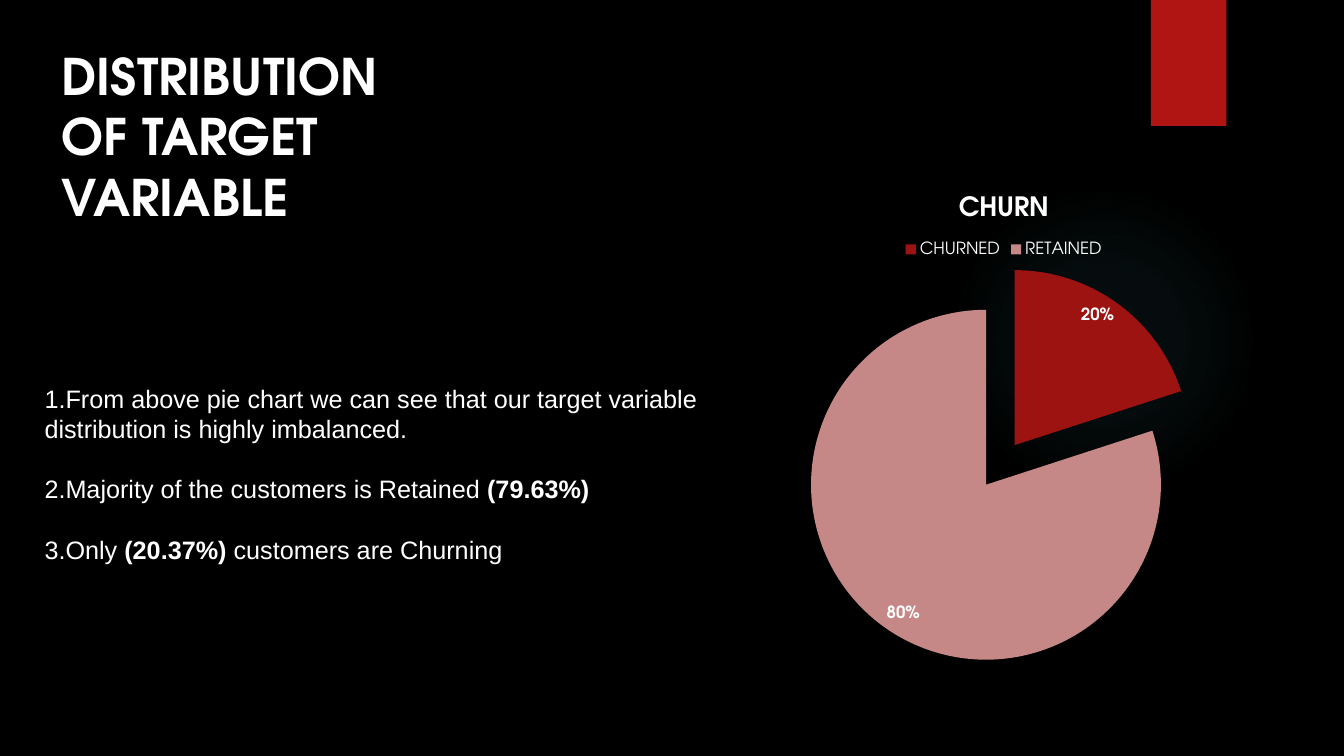
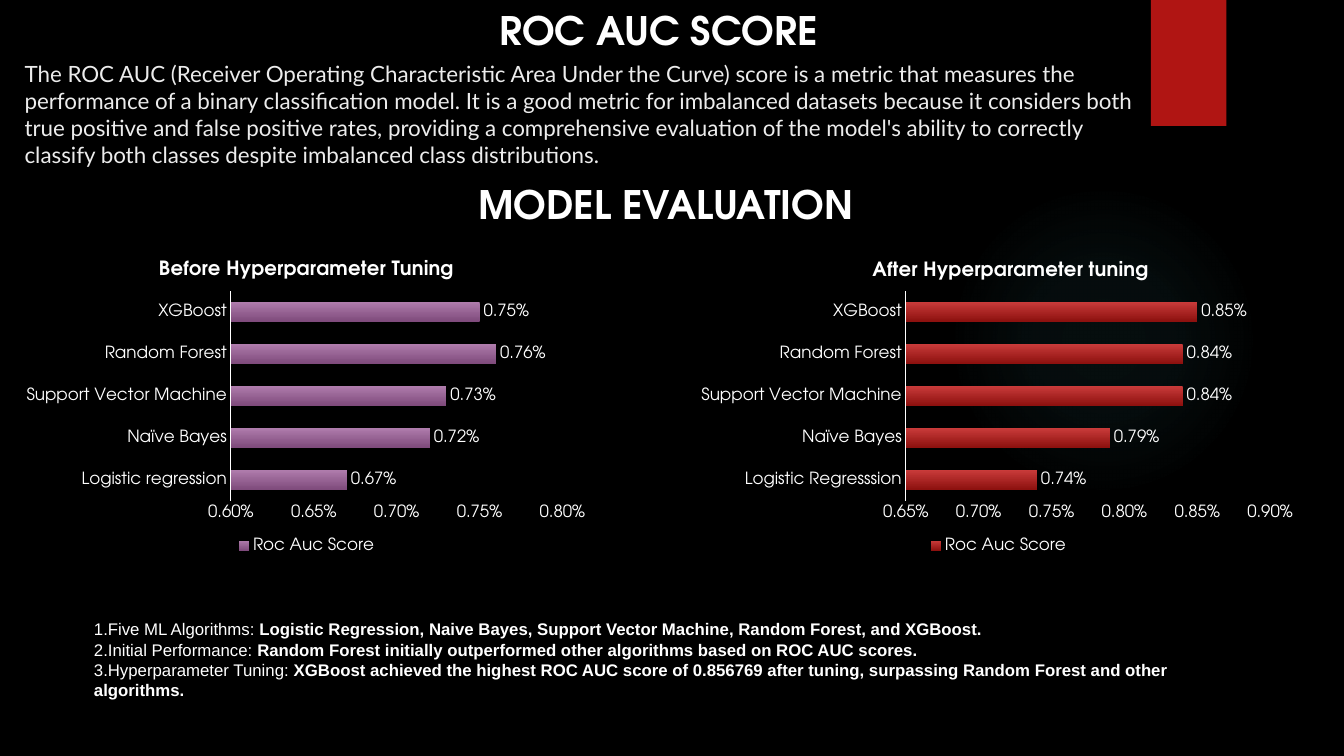
from pptx import Presentation
from pptx.chart.data import CategoryChartData
from pptx.dml.color import RGBColor
from pptx.enum.chart import XL_CHART_TYPE, XL_LABEL_POSITION, XL_LEGEND_POSITION, XL_TICK_MARK
from pptx.enum.shapes import MSO_SHAPE
from pptx.enum.text import MSO_ANCHOR, MSO_AUTO_SIZE, PP_ALIGN
from pptx.oxml import parse_xml
from pptx.oxml.ns import nsdecls, qn
from pptx.util import Pt

PIE, BAR = XL_CHART_TYPE.PIE, XL_CHART_TYPE.BAR_CLUSTERED
INSIDE_END, OUTSIDE_END = XL_LABEL_POSITION.INSIDE_END, XL_LABEL_POSITION.OUTSIDE_END
LEGEND_TOP, LEGEND_BOTTOM = XL_LEGEND_POSITION.TOP, XL_LEGEND_POSITION.BOTTOM
NO_TICKS = XL_TICK_MARK.NONE
OVAL, RECT = MSO_SHAPE.OVAL, MSO_SHAPE.RECTANGLE
TOP, LEFT, FIXED = MSO_ANCHOR.TOP, PP_ALIGN.LEFT, MSO_AUTO_SIZE.NONE

PX = 9525
SLIDE_SIZE = (1280, 720)
HEAD_FONT, NOTE_FONT, BODY_FONT = "TeX Gyre Adventor", "Arial", "Lato"
COLORS = {
    "black": "000000", "white": "FFFFFF", "pale": "ECECEC",
    "tab": "B01513", "glow": "50B9C1",
    "churned": "9C1311", "retained": "C68787",
    "purple_light": "AF7CAC", "purple_dark": "7F4B7C",
    "red_light": "C93B3A", "red_dark": "8D110F",
}
GLOW_BOX, TAB_BOX = (903, 176, 296, 296), (1096, 0, 72, 120)
GLOW_STOPS = [(0, 7), (36, 6), (69, 0)]  # position %, opacity %

# A paragraph is a list of (text, bold) runs.
CHURN_TITLE = "DISTRIBUTION OF TARGET VARIABLE"
CHURN_NOTES = [
    [("From above pie chart we can see that our target variable "
      "distribution is highly imbalanced.", False)],
    [("Majority of the customers is Retained ", False), ("(79.63%)", True)],
    [("Only ", False), ("(20.37%)", True), (" customers are Churning", False)],
]
CHURN = {
    "title": "CHURN", "series": "CHURN",
    "data": [("CHURNED", 20), ("RETAINED", 80)],
    "box": (634, 166, 644, 490), "plot": (0.2, 0.17, 0.59, 0.79),
}

ROC_TITLE = "ROC AUC SCORE"
ROC_TEXT = (
    "The ROC AUC (Receiver Operating Characteristic Area Under the Curve) score is a metric "
    "that measures the performance of a binary classification model. It is a good metric for "
    "imbalanced datasets because it considers both true positive and false positive rates, "
    "providing a comprehensive evaluation of the model's ability to correctly classify both "
    "classes despite imbalanced class distributions."
)
EVALUATION_TITLE = "MODEL EVALUATION"
TUNING_CHARTS = [
    {
        "title": "Before Hyperparameter Tuning", "series": "Roc Auc Score",
        "data": [("Logistic regression", 0.0067), ("Naïve Bayes", 0.0072),
                 ("Support Vector Machine", 0.0073), ("Random Forest", 0.0076),
                 ("XGBoost", 0.0075)],
        "box": (15, 232, 554, 299), "plot": (0.37, 0.15, 0.57, 0.67),
        "range": (0.006, 0.008), "gradient": ("purple_light", "purple_dark"),
    },
    {
        "title": "After Hyperparameter tuning", "series": "Roc Auc Score",
        "data": [("Logistic Regresssion", 0.0074), ("Naïve Bayes", 0.0079),
                 ("Support Vector Machine", 0.0084), ("Random Forest", 0.0084),
                 ("XGBoost", 0.0085)],
        "box": (657, 232, 588, 299), "plot": (0.35, 0.15, 0.59, 0.67),
        "title_at": (0.29, 0.04),
        "range": (0.0065, 0.009), "gradient": ("red_light", "red_dark"),
    },
]
ROC_NOTES = [
    [("Five ML Algorithms: ", False),
     ("Logistic Regression, Naive Bayes, Support Vector Machine, Random Forest, and XGBoost.",
      True)],
    [("Initial Performance: ", False),
     ("Random Forest initially outperformed other algorithms based on ROC AUC scores.", True)],
    [("Hyperparameter Tuning: ", False),
     ("XGBoost achieved the highest ROC AUC score of 0.856769 after tuning, surpassing "
      "Random Forest and other algorithms.", True)],
]


def rgb(name):
    return RGBColor.from_string(COLORS[name])


def emu(box):
    return [v * PX for v in box]


def style(font, size, name=HEAD_FONT, color="white", bold=False):
    font.size, font.name, font.bold = Pt(size), name, bold
    font.color.rgb = rgb(color)


def write(tf, paragraphs, size, font=HEAD_FONT, color="white", numbered=False, gap=0):
    """Fill a text frame with paragraphs, each a list of (text, bold) runs."""
    for i, runs in enumerate(paragraphs):
        p = tf.add_paragraph() if i else tf.paragraphs[0]
        if numbered:
            pPr = p._p.get_or_add_pPr()
            pPr.set("marL", "0")
            pPr.set("indent", "0")
            pPr.append(parse_xml(f'<a:buAutoNum {nsdecls("a")} type="arabicPeriod"/>'))
        if i and gap:
            p.space_before = Pt(gap)
        for text, bold in runs:
            r = p.add_run()
            r.text = text
            style(r.font, size, font, color, bold)


def add_text(slide, box, paragraphs, size, **fmt):
    tf = slide.shapes.add_textbox(*emu(box)).text_frame
    tf.word_wrap = True
    write(tf, paragraphs, size, **fmt)


def set_title(slide, box, text, size):
    title = slide.shapes.title
    title.left, title.top, title.width, title.height = emu(box)
    tf = title.text_frame
    tf.word_wrap, tf.auto_size, tf.vertical_anchor = True, FIXED, TOP
    write(tf, [[(text, True)]], size)
    tf.paragraphs[0].alignment = LEFT


def decorate_master(master, slide):
    """Build the glow and the tab on a slide, then move them behind the master's placeholders."""
    master.background.fill.solid()
    master.background.fill.fore_color.rgb = rgb("black")
    for i, (kind, box) in enumerate([(OVAL, GLOW_BOX), (RECT, TAB_BOX)]):
        s = slide.shapes.add_shape(kind, *emu(box))
        s.shadow.inherit = False
        s.line.fill.background()
        s.fill.solid()
        s.fill.fore_color.rgb = rgb("tab")
        if kind == OVAL:
            stops = "".join(
                f'<a:gs pos="{pos * 1000}"><a:srgbClr val="{COLORS["glow"]}">'
                f'<a:alpha val="{alpha * 1000}"/></a:srgbClr></a:gs>'
                for pos, alpha in GLOW_STOPS)
            spPr = s.element.spPr
            spPr.replace(spPr.find(qn("a:solidFill")), parse_xml(
                f'<a:gradFill {nsdecls("a")}><a:gsLst>{stops}</a:gsLst><a:path path="circle">'
                '<a:fillToRect l="50000" t="50000" r="50000" b="50000"/></a:path></a:gradFill>'))
        master.shapes.element.insert(2 + i, s.element)


def place(chart, tag, index, position, target=""):
    """Fix a chart part at (x, y) or (x, y, w, h), as fractions of the chart."""
    part = chart.element.find(".//" + qn(tag))
    for layout in part.findall(qn("c:layout")):
        part.remove(layout)
    sizes = "".join(f'<c:{name} val="{v}"/>' for name, v in zip("xywh", position))
    part.insert(index, parse_xml(
        f'<c:layout {nsdecls("c")}><c:manualLayout>{target}'
        f'<c:xMode val="edge"/><c:yMode val="edge"/>{sizes}</c:manualLayout></c:layout>'))


def add_chart(slide, kind, spec, title_size, legend, label_pos, label_format, bold_labels):
    data = CategoryChartData()
    data.categories = [name for name, _ in spec["data"]]
    data.add_series(spec["series"], [value for _, value in spec["data"]])
    chart = slide.shapes.add_chart(kind, *emu(spec["box"]), data).chart
    style(chart.font, 12)
    chart.has_title = True
    write(chart.chart_title.text_frame, [[(spec["title"], True)]], title_size)
    chart.chart_title.include_in_layout = False
    if "title_at" in spec:
        place(chart, "c:title", 1, spec["title_at"])
    chart.has_legend = True
    chart.legend.position, chart.legend.include_in_layout = legend, False
    style(chart.legend.font, 12)
    place(chart, "c:plotArea", 0, spec["plot"], '<c:layoutTarget val="inner"/>')
    plot = chart.plots[0]
    plot.has_data_labels = True
    labels = plot.data_labels
    labels.show_percentage, labels.show_value = kind == PIE, kind != PIE
    labels.number_format, labels.number_format_is_linked = label_format, False
    labels.position = label_pos
    style(labels.font, 12, bold=bold_labels)
    return chart


def add_churn_pie(slide):
    chart = add_chart(slide, PIE, CHURN, 19, LEGEND_TOP, INSIDE_END, "0%", True)
    chart.plots[0].vary_by_categories = True
    series = chart.plots[0].series[0]
    for i, color in enumerate(("churned", "retained")):
        fill = series.points[i].format.fill
        fill.solid()
        fill.fore_color.rgb = rgb(color)
    first_point = series._element.find(qn("c:dPt"))
    first_point.addprevious(parse_xml(f'<c:explosion {nsdecls("c")} val="14"/>'))


def add_score_bars(slide, spec):
    chart = add_chart(slide, BAR, spec, 14, LEGEND_BOTTOM, OUTSIDE_END, "0.00%", False)
    plot = chart.plots[0]
    plot.vary_by_categories, plot.gap_width, plot.overlap = False, 115, -20
    fill = plot.series[0].format.fill
    fill.gradient()
    fill.gradient_angle = 270
    for stop, color, pos in zip(fill.gradient_stops, spec["gradient"], (0, 1)):
        stop.color.rgb, stop.position = rgb(color), pos
    names, scores = chart.category_axis, chart.value_axis
    for axis in (names, scores):
        axis.major_tick_mark = axis.minor_tick_mark = NO_TICKS
        axis.has_major_gridlines = False
        style(axis.tick_labels.font, 12)
    names.format.line.color.rgb, names.format.line.width = rgb("white"), Pt(0.75)
    scores.format.line.fill.background()
    scores.minimum_scale, scores.maximum_scale = spec["range"]
    scores.major_unit = 0.0005
    scores.tick_labels.number_format = "0.00%"
    scores.tick_labels.number_format_is_linked = False


def main():
    prs = Presentation()
    prs.slide_width, prs.slide_height = emu(SLIDE_SIZE)
    title_only = prs.slide_layouts[5]

    s = prs.slides.add_slide(title_only)
    decorate_master(prs.slide_master, s)
    set_title(s, (49, 38, 355, 351), CHURN_TITLE, 36)
    add_churn_pie(s)
    add_text(s, (33, 360, 709, 213), CHURN_NOTES, 18, font=NOTE_FONT, numbered=True, gap=21.5)

    s = prs.slides.add_slide(title_only)
    set_title(s, (466, 1, 348, 55), ROC_TITLE, 28)
    add_text(s, (14, 53, 1076, 113), [[(ROC_TEXT, False)]], 16, font=BODY_FONT, color="pale")
    add_text(s, (446, 167, 442, 55), [[(EVALUATION_TITLE, True)]], 28)
    for spec in TUNING_CHARTS:
        add_score_bars(s, spec)
    add_text(s, (80, 585, 1106, 116), ROC_NOTES, 12, font=NOTE_FONT, numbered=True)

    prs.save("out.pptx")


if __name__ == "__main__":
    main()
